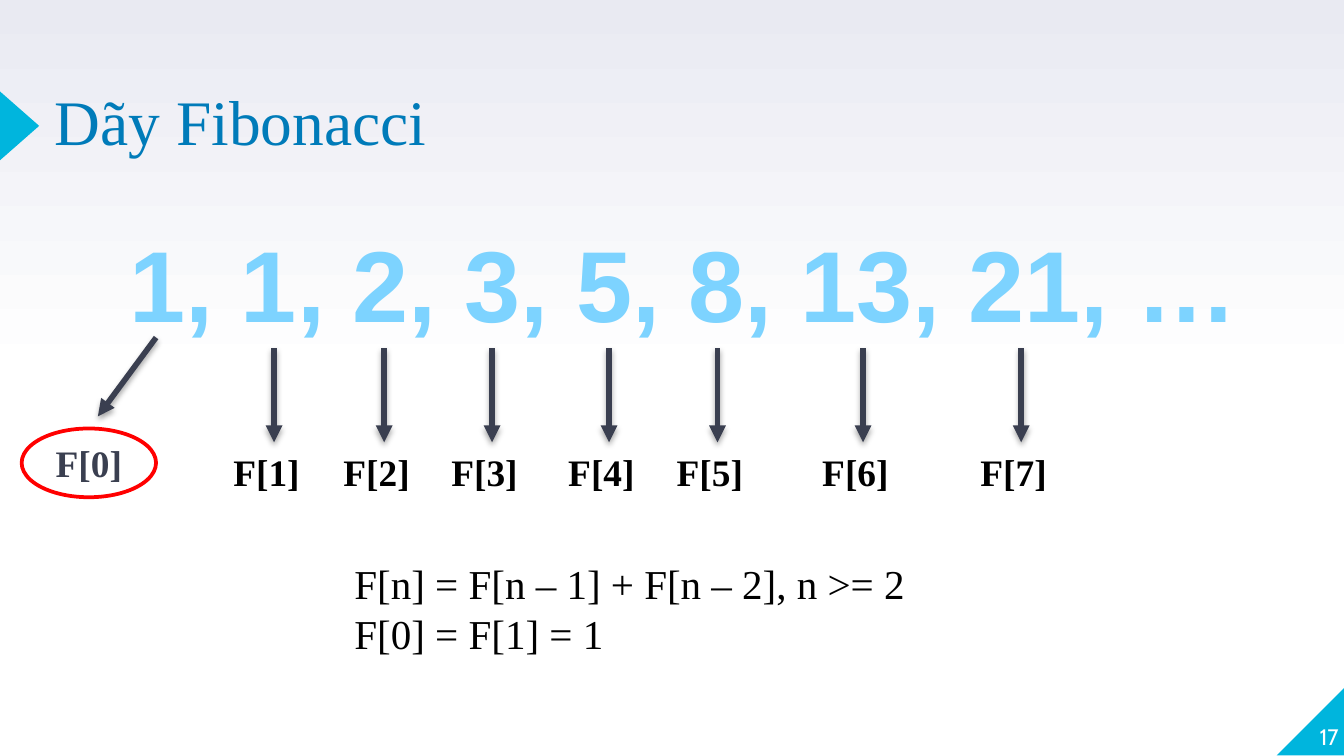
import copy
import pptx
import pptx.util
import pptx.dml.color
import pptx.enum.shapes
import pptx.enum.text
import pptx.oxml
import pptx.oxml.ns

Cm, Pt = pptx.util.Cm, pptx.util.Pt
Shape = pptx.enum.shapes.MSO_SHAPE
Align = pptx.enum.text.PP_ALIGN
Anchor = pptx.enum.text.MSO_ANCHOR

# Content; lengths in cm
TITLE = "Dãy Fibonacci"
TERMS = "1, 1, 2, 3, 5, 8, 13, 21, …"
RULES = ["F[n] = F[n – 1] + F[n – 2], n >= 2", "F[0] = F[1] = 1"]
PAGE = "17"
FIRST = "F[0]"
MARKS = [("F[1]", 5.18), ("F[2]", 7.26), ("F[3]", 9.3), ("F[4]", 11.51),
         ("F[5]", 13.56), ("F[6]", 16.31), ("F[7]", 19.3)]
TOP, TIP = 6.58, 8.36

# Theme: colours, fonts and type styles (font, size, colour, bold)
SERIF = "Times New Roman"
THEME = {
    "cyan": "00B5DD", "blue": "007BB9", "slate": "3A3F50",
    "red": "FF0000", "white": "FFFFFF",
    "back": [(0, "FFFFFF"), (0.5, "FFFFFF"), (1, "E9EAF2")],
    "title": (SERIF, 34, "007BB9", False),
    "terms": ("Arial", 54, "7DD3FF", True),
    "first": (SERIF, 20, "3A3F50", True),
    "mark": (SERIF, 20, "000000", True),
    "rule": (SERIF, 22, "000000", False),
    "page": ("Cabin", 12, "FFFFFF", False),
}
NS = pptx.oxml.ns.nsdecls("a")
SHADE = (f'<a:effectLst {NS}><a:outerShdw blurRad="39370" dist="22860" '
         'dir="5400000" rotWithShape="0"><a:srgbClr val="000000">'
         '<a:alpha val="35000"/></a:srgbClr></a:outerShdw></a:effectLst>')
HEAD = f'<a:tailEnd {NS} type="triangle"/>'
EDGE = (f'<a:ln {NS} w="22225"><a:solidFill><a:srgbClr val="{THEME["blue"]}"/>'
        '</a:solidFill></a:ln>')


def tint(code):
    return pptx.dml.color.RGBColor.from_string(code)


def write(shape, lines, style, align=Align.LEFT, anchor=Anchor.TOP, inset=True):
    frame = shape.text_frame
    frame.word_wrap = True
    frame.vertical_anchor = anchor
    if not inset:
        frame.margin_left = frame.margin_right = 0
        frame.margin_top = frame.margin_bottom = 0
    face, size, code, bold = THEME[style]
    for i, line in enumerate(lines):
        para = frame.add_paragraph() if i else frame.paragraphs[0]
        para.alignment = align
        run = para.add_run()
        run.text = line
        run.font.name, run.font.size, run.font.bold = face, Pt(size), bold
        run.font.color.rgb = tint(code)
    return shape


def label(box, lines, style, **more):
    return write(slide.shapes.add_textbox(*map(Cm, box)), lines, style, **more)


def block(kind, box, fill, line=None):
    shape = slide.shapes.add_shape(kind, *map(Cm, box))
    shape.shadow.inherit = False
    shape.fill.solid()
    shape.fill.fore_color.rgb = tint(THEME[fill])
    if line:
        shape.line.color.rgb = tint(THEME[line])
        shape.line.width = Pt(2)
    else:
        shape.line.fill.background()
    return shape


def arrow(*ends):
    link = slide.shapes.add_connector(
        pptx.enum.shapes.MSO_CONNECTOR.STRAIGHT, *map(Cm, ends))
    link.line.color.rgb = tint(THEME["slate"])
    link.line.width = Pt(3)
    link.line._get_or_add_ln().append(pptx.oxml.parse_xml(HEAD))
    link._element.spPr.append(pptx.oxml.parse_xml(SHADE))


deck = pptx.Presentation()
deck.slide_width, deck.slide_height = Cm(25.4), Cm(14.29)
slide = deck.slides.add_slide(deck.slide_layouts[6])

# Background, shaded from the bottom up
fill = slide.background.fill
fill.gradient()
fill.gradient_angle = 90
last = fill.gradient_stops[1]._gs
last.addprevious(copy.deepcopy(last))
for stop, (place, code) in zip(fill.gradient_stops, THEME["back"]):
    stop.position = place
    stop.color.rgb = tint(code)

# Corner, title marker, title and page number
corner = block(Shape.RIGHT_TRIANGLE, (24.13, 12.98, 1.3, 1.3), "cyan")
corner._element.spPr.xfrm.set("flipH", "1")
block(Shape.ISOSCELES_TRIANGLE, (-0.28, 2.01, 1.3, 0.74), "cyan").rotation = 90
label((1.04, 1.5, 16.03, 1.5), [TITLE], "title", anchor=Anchor.BOTTOM, inset=False)
label((24.03, 12.88, 1.27, 1.3), [PAGE], "page", align=Align.RIGHT,
      anchor=Anchor.BOTTOM, inset=False)

# Sequence with outlined digits
terms = label((1.85, 4.06, 22.15, 2.57), [TERMS], "terms", align=Align.CENTER)
font = terms.text_frame.paragraphs[0].runs[0].font
font._element.insert(0, pptx.oxml.parse_xml(EDGE))

# First term, ringed
arrow(2.95, 6.38, 1.85, 7.87)
ring = block(Shape.OVAL, (0.41, 8.1, 2.54, 1.3), "white", "red")
write(ring, [FIRST], "first", align=Align.CENTER, anchor=Anchor.MIDDLE)

# Other terms
for name, x in MARKS:
    arrow(x, TOP, x, TIP)
    label((x - 1.02, TIP, 2.03, 1.12), [name], "mark")

# Recurrence
label((6.45, 10.44, 11.68, 2.13), RULES, "rule")

deck.save("out.pptx")
